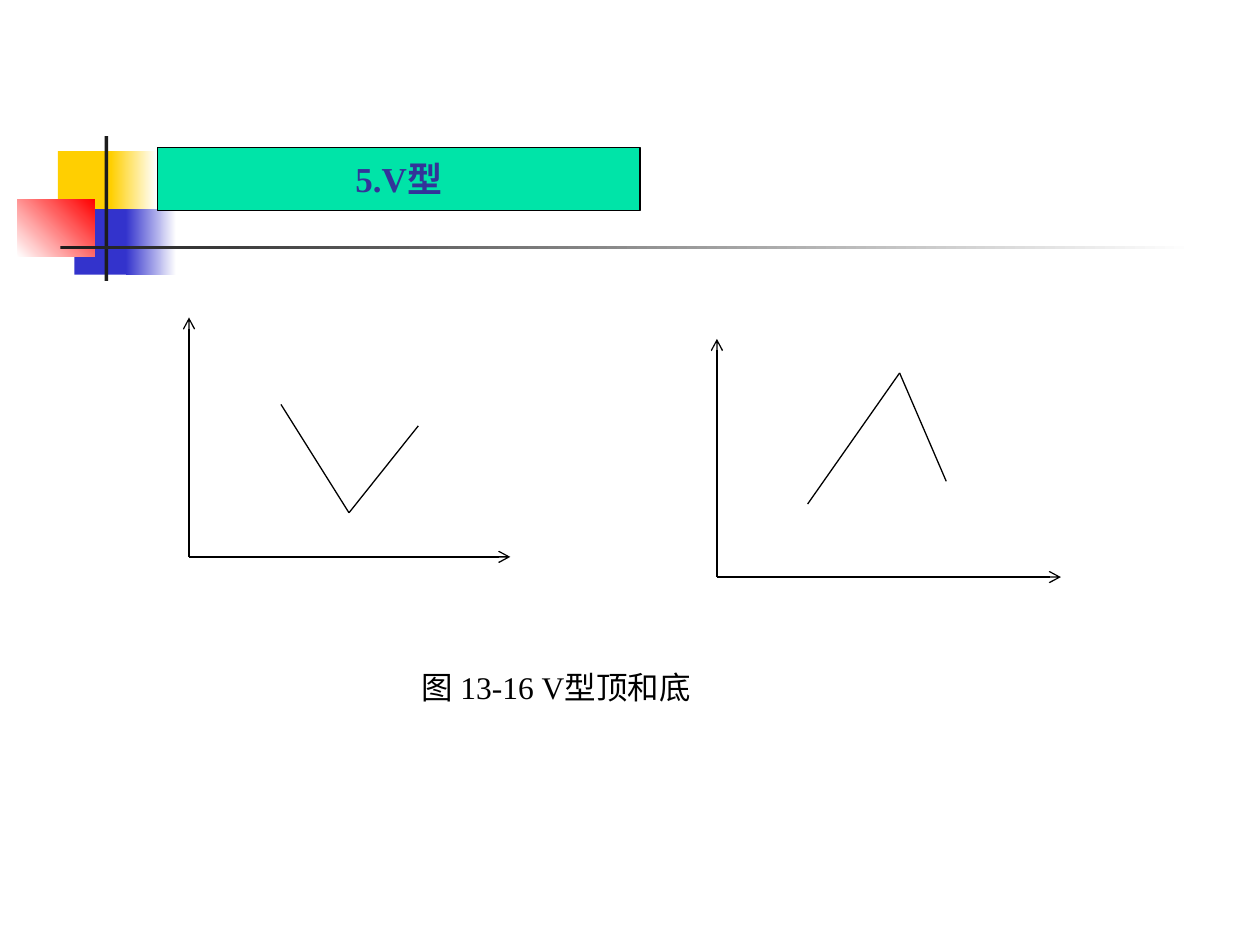
import pptx
import pptx.util
import pptx.dml.color
import pptx.enum.shapes
import pptx.enum.text
import pptx.oxml.ns
import lxml.etree

COLORS = {
    "white": "FFFFFF",
    "black": "000000",
    "yellow": "FFCF01",
    "blue": "3333CC",
    "red": "FF0000",
    "charcoal": "1C1C1C",
    "green": "00E4A8",
    "indigo": "333399",
}
LATIN = "Times New Roman"
CHINESE = "Noto Sans CJK SC"
LINE_WIDTH = pptx.util.Pt(0.75)

ORNAMENTS = [
    ((0.46, 1.2, 0.48, 0.52), ["yellow"], 0),
    ((0.88, 1.2, 0.36, 0.52), ["yellow", "white"], 0),
    ((0.59, 1.66, 0.46, 0.52), ["blue"], 0),
    ((1, 1.66, 0.4, 0.52), ["blue", "white"], 0),
    ((0.14, 1.58, 0.61, 0.46), ["white", "red"], 45),
    ((0.83, 1.08, 0.03, 1.15), ["charcoal"], 0),
    ((0.48, 1.95, 9, 0.03), ["charcoal", "white"], 0),
]


def color(name):
    return pptx.dml.color.RGBColor.from_string(COLORS[name])


def inches(values):
    return [pptx.util.Inches(value) for value in values]


def add_element(parent, tag, **attributes):
    return lxml.etree.SubElement(parent, pptx.oxml.ns.qn(tag), **attributes)


def add_ornament(page, place, shades, angle):
    rectangle = pptx.enum.shapes.MSO_SHAPE.RECTANGLE
    shape = page.shapes.add_shape(rectangle, *inches(place))
    shape.shadow.inherit = False
    shape.line.fill.background()
    if len(shades) == 1:
        shape.fill.solid()
        shape.fill.fore_color.rgb = color(shades[0])
        return
    shape.fill.gradient()
    shape.fill.gradient_angle = angle
    for stop, shade in zip(shape.fill.gradient_stops, shades):
        stop.color.rgb = color(shade)


def add_span(para, text, font, size, shade, bold=False):
    span = para.add_run()
    span.text = text
    span.font.size = pptx.util.Pt(size)
    span.font.bold = bold
    span.font.color.rgb = color(shade)
    span.font.name = font
    add_element(span.font._element, "a:ea", typeface=font)


def add_banner(page):
    banner = page.shapes.title
    page.shapes._spTree.append(banner._element)
    banner.left, banner.top, banner.width, banner.height = inches((1.25, 1.17, 3.83, 0.5))
    banner.fill.solid()
    banner.fill.fore_color.rgb = color("green")
    banner.line.color.rgb = color("black")
    banner.line.width = LINE_WIDTH
    frame = banner.text_frame
    frame.auto_size = pptx.enum.text.MSO_AUTO_SIZE.NONE
    frame.word_wrap = False
    frame.vertical_anchor = pptx.enum.text.MSO_ANCHOR.MIDDLE
    para = frame.paragraphs[0]
    para.alignment = pptx.enum.text.PP_ALIGN.CENTER
    add_span(para, "5.V", LATIN, 20, "indigo", True)
    add_span(para, "型", CHINESE, 20, "indigo", True)


def add_caption(page):
    box = page.shapes.add_textbox(*inches((3.25, 5.25, 4.25, 0.4)))
    box.text_frame.word_wrap = True
    para = box.text_frame.paragraphs[0]
    add_span(para, "图 ", CHINESE, 18, "black")
    add_span(para, "13-16 V", LATIN, 18, "black")
    add_span(para, "型顶和底", CHINESE, 18, "black")


def add_line(group, start, end, arrow=False):
    straight = pptx.enum.shapes.MSO_CONNECTOR.STRAIGHT
    line = group.shapes.add_connector(straight, *inches(start + end))
    line.line.color.rgb = color("black")
    line.line.width = LINE_WIDTH
    if arrow:
        add_element(line.line._get_or_add_ln(), "a:tailEnd", type="arrow")
    add_element(line._element.spPr, "a:effectLst")


def add_price_graph(page, origin, top, right, trend):
    group = page.shapes.add_group_shape()
    add_line(group, origin, (origin[0], top), arrow=True)
    add_line(group, origin, (right, origin[1]), arrow=True)
    for start, end in zip(trend, trend[1:]):
        add_line(group, start, end)


def main():
    deck = pptx.Presentation()
    deck.slide_width, deck.slide_height = inches((10, 7.5))
    page = deck.slides.add_slide(deck.slide_layouts.get_by_name("Title Only"))
    for place, shades, angle in ORNAMENTS:
        add_ornament(page, place, shades, angle)
    add_banner(page)
    add_caption(page)
    add_price_graph(page, (1.5, 4.42), 2.52, 4.05, [(2.23, 3.21), (2.77, 4.07), (3.32, 3.38)])
    add_price_graph(page, (5.69, 4.58), 2.69, 8.42, [(6.41, 4), (7.14, 2.96), (7.51, 3.82)])
    deck.save("out.pptx")


if __name__ == "__main__":
    main()
